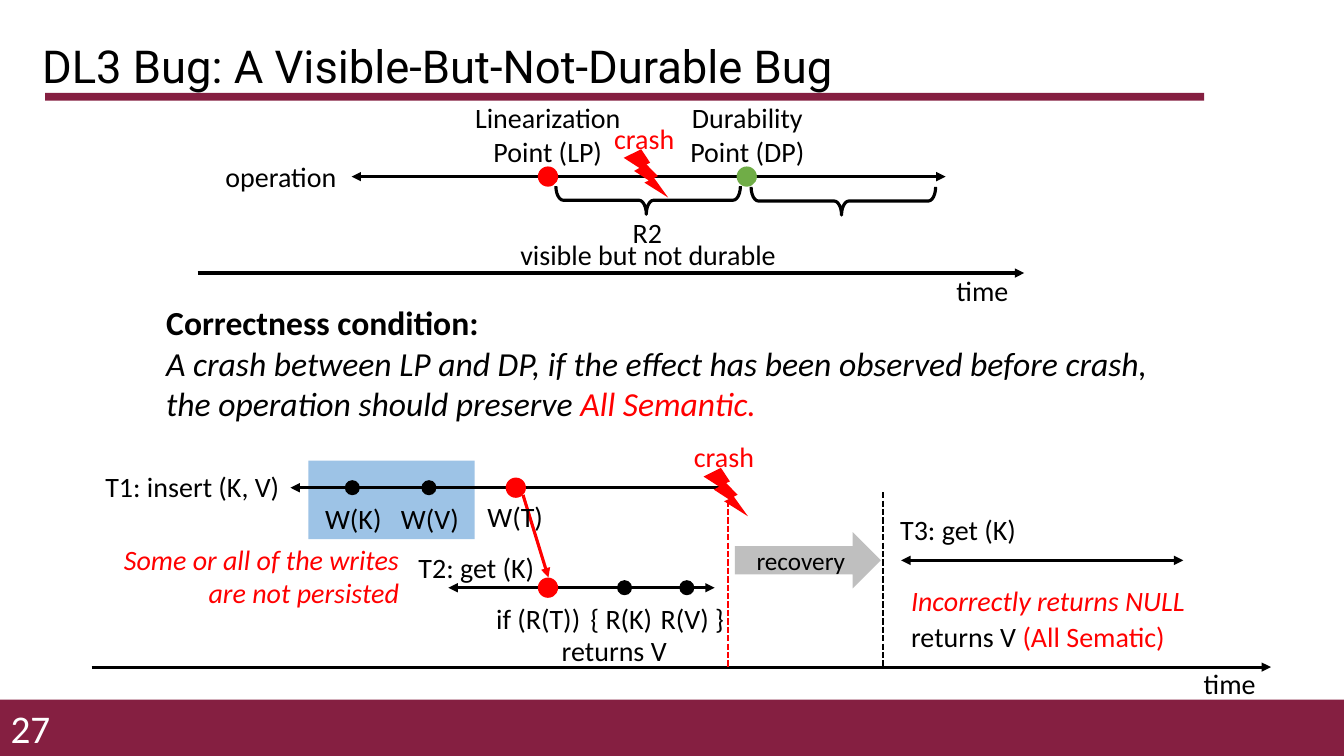
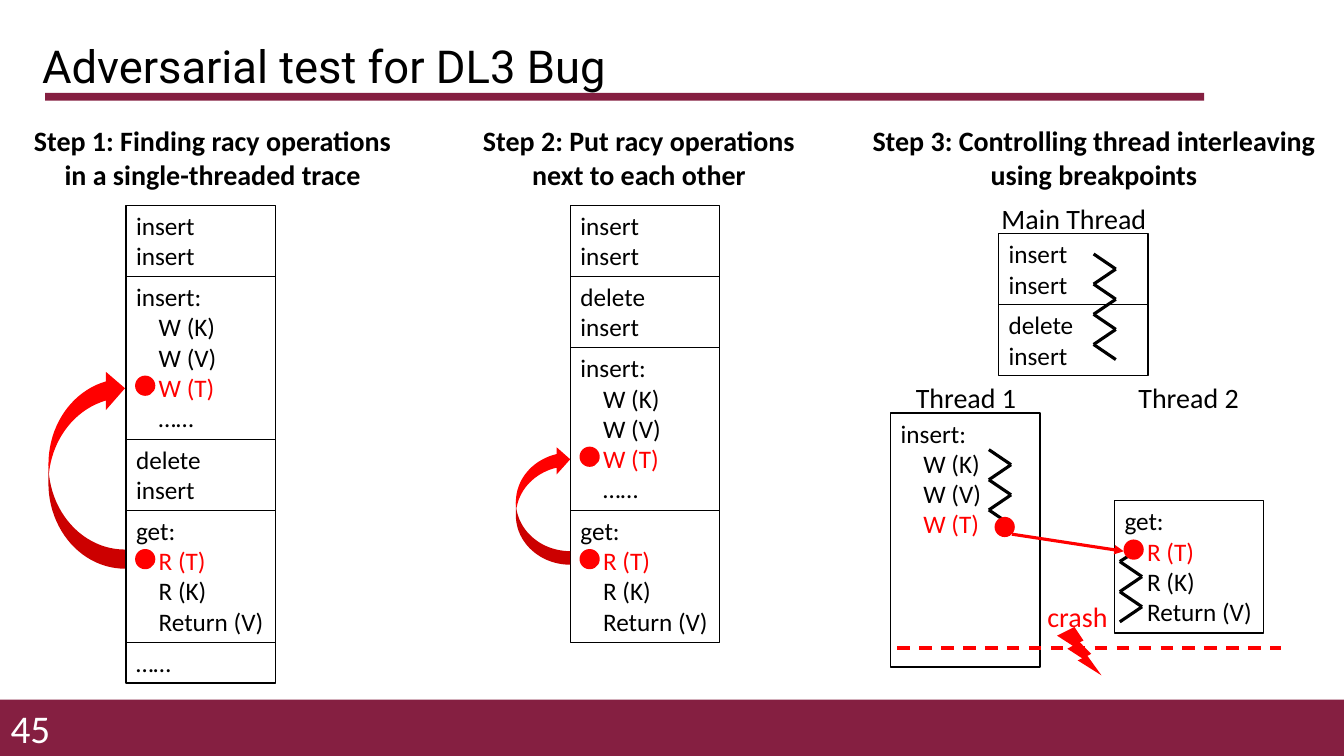
from lxml import etree
from pptx import Presentation
from pptx.dml.color import RGBColor
from pptx.enum.dml import MSO_LINE
from pptx.enum.shapes import MSO_CONNECTOR, MSO_SHAPE
from pptx.enum.text import MSO_ANCHOR, PP_ALIGN
from pptx.oxml.ns import qn
from pptx.util import Cm, Pt

LEFT, CENTER, RIGHT = PP_ALIGN.LEFT, PP_ALIGN.CENTER, PP_ALIGN.RIGHT
TOP, MIDDLE = MSO_ANCHOR.TOP, MSO_ANCHOR.MIDDLE
RECTANGLE, OVAL, BOLT = MSO_SHAPE.RECTANGLE, MSO_SHAPE.OVAL, MSO_SHAPE.LIGHTNING_BOLT
BRACE, BLOCK_ARROW = MSO_SHAPE.LEFT_BRACE, MSO_SHAPE.RIGHT_ARROW
CURVED_ARROW = MSO_SHAPE.CURVED_LEFT_ARROW
SHORT_DASH, DASH = MSO_LINE.SQUARE_DOT, MSO_LINE.DASH


class Theme:
    black = RGBColor(0x00, 0x00, 0x00)
    white = RGBColor(0xFF, 0xFF, 0xFF)
    red = RGBColor(0xFF, 0x00, 0x00)
    green = RGBColor(0x70, 0xAD, 0x47)
    blue = RGBColor(0x9D, 0xC3, 0xE6)
    gray = RGBColor(0xBF, 0xBF, 0xBF)
    maroon = RGBColor(0x85, 0x1F, 0x41)
    thin, dashed, thick = 1, 1.5, 2.25
    indent = 0.57
    indented = ("step", "step alert")
    styles = {
        "title": {"name": "Roboto", "size": Pt(32.4), "color": black},
        "page": {"size": Pt(28), "color": white},
        "lead": {"size": Pt(24), "color": black, "bold": True},
        "rule": {"size": Pt(24), "color": black, "italic": True},
        "rule alert": {"size": Pt(24), "color": red, "italic": True},
        "heading": {"size": Pt(20), "color": black, "bold": True},
        "label": {"size": Pt(20), "color": black},
        "alert": {"size": Pt(20), "color": red},
        "note": {"size": Pt(20), "color": red, "italic": True},
        "code": {"size": Pt(18), "color": black},
        "step": {"size": Pt(18), "color": black},
        "step alert": {"size": Pt(18), "color": red},
    }


def add_box(slide, kind, box, paragraphs=(), fill=None, line=None,
            width=Theme.thin, align=LEFT, anchor=TOP, wrap=True):
    frame = [Cm(length) for length in box]
    if kind is None:
        shape = slide.shapes.add_textbox(*frame)
    else:
        shape = slide.shapes.add_shape(kind, *frame)
        shape.shadow.inherit = False
        for part, color in ((shape.fill, fill), (shape.line.fill, line)):
            if color is None:
                part.background()
            else:
                part.solid()
                part.fore_color.rgb = color
        if line is not None:
            shape.line.width = Pt(width)
    text_frame = shape.text_frame
    text_frame.word_wrap = wrap
    text_frame.vertical_anchor = anchor
    for index, runs in enumerate(paragraphs):
        paragraph = text_frame.add_paragraph() if index else text_frame.paragraphs[0]
        paragraph.alignment = align
        if runs[0][0] in Theme.indented:
            paragraph._p.get_or_add_pPr().set("marL", str(Cm(Theme.indent)))
        for style, text in runs:
            run = paragraph.add_run()
            run.text = text
            for name, value in {"name": "Calibri", **Theme.styles[style]}.items():
                if name == "color":
                    run.font.color.rgb = value
                else:
                    setattr(run.font, name, value)
    return shape


def add_line(slide, start, end, color=Theme.black, width=Theme.thick, dash=None, arrows=()):
    points = [Cm(length) for length in (*start, *end)]
    connector = slide.shapes.add_connector(MSO_CONNECTOR.STRAIGHT, *points)
    connector.line.color.rgb = color
    connector.line.width = Pt(width)
    if dash is not None:
        connector.line.dash_style = dash
    properties = connector._element.spPr
    for arrow in arrows:
        etree.SubElement(properties.find(qn("a:ln")), qn("a:" + arrow), type="triangle")
    etree.SubElement(properties, qn("a:effectLst"))


presentation = Presentation()
presentation.slide_width, presentation.slide_height = Cm(33.87), Cm(19.05)
slides = []
for title, page in (("DL3 Bug: A Visible-But-Not-Durable Bug", "27"),
                    ("Adversarial test for DL3 Bug", "45")):
    slide = presentation.slides.add_slide(presentation.slide_layouts[6])
    for band in ((0, 17.63, 33.87, 1.42), (1.14, 2.34, 29.21, 0.2)):
        add_box(slide, RECTANGLE, band, fill=Theme.maroon)
    title_box = add_box(slide, None, (0.81, 1.02, 31.8, 1.42), [[("title", title)]], anchor=MIDDLE)
    title_box.text_frame.paragraphs[0].line_spacing = 0.9
    add_box(slide, None, (0, 17.83, 1.52, 1.02), [[("page", page)]],
            align=RIGHT, anchor=MIDDLE, wrap=False)
    slides.append(slide)
bug_slide, test_slide = slides

BOTH, FORWARD, BACKWARD = ("headEnd", "tailEnd"), ("tailEnd",), ("headEnd",)
BIG_DOT, SMALL_DOT = 0.51, 0.38
LINE_HEIGHT, PAIR_HEIGHT = 1.12, 1.96

add_box(bug_slide, None, (3.94, 7.49, 25.86, 3.33), [
    [("lead", "Correctness condition:")],
    [("rule", "A crash between LP and DP, if the effect has been observed before crash,")],
    [("rule", "the operation should preserve "), ("rule alert", "All Semantic.")],
])
add_box(bug_slide, RECTANGLE, (7.77, 11.61, 4.19, 1.98), fill=Theme.blue)
add_box(bug_slide, BLOCK_ARROW, (18.52, 13.41, 3.68, 1.42), [[("code", "recovery")]],
        fill=Theme.gray, align=CENTER, anchor=MIDDLE)
for left, top in ((15.98, 2.72), (20.9, 2.74)):
    brace = add_box(bug_slide, BRACE, (left, top, 0.71, 4.65), line=Theme.black, width=Theme.thick)
    brace.rotation = 270
    brace.adjustments[0], brace.adjustments[1] = 0.26, 0.49

OPERATION_Y, INSERT_Y, GET_Y = 4.45, 12.29, 14.81
for left, right, y, arrows in (
    (4.98, 25.81, 6.88, FORWARD),
    (8.86, 23.83, OPERATION_Y, BOTH),
    (2.31, 32.03, 16.81, FORWARD),
    (7.32, 18.26, INSERT_Y, BACKWARD),
    (22.71, 29.82, 14.12, BOTH),
    (11.3, 18.01, GET_Y, BOTH),
):
    add_line(bug_slide, (left, y), (right, y), arrows=arrows)
for x, color in ((18.34, Theme.red), (22.25, Theme.black)):
    add_line(bug_slide, (x, 12.4), (x, 16.8), color, Theme.dashed, SHORT_DASH)
add_line(bug_slide, (13.18, 12.47), (13.82, 14.55), Theme.red, arrows=FORWARD)

dots = [
    (bug_slide, 13.81, OPERATION_Y, BIG_DOT, Theme.red),
    (bug_slide, 18.82, OPERATION_Y, BIG_DOT, Theme.green),
    (bug_slide, 13, INSERT_Y, BIG_DOT, Theme.red),
    (bug_slide, 13.81, GET_Y, BIG_DOT, Theme.red),
    (bug_slide, 8.88, INSERT_Y, SMALL_DOT, Theme.black),
    (bug_slide, 10.81, INSERT_Y, SMALL_DOT, Theme.black),
    (bug_slide, 15.74, GET_Y, SMALL_DOT, Theme.black),
    (bug_slide, 17.31, GET_Y, SMALL_DOT, Theme.black),
    (test_slide, 25.32, 13.28, BIG_DOT, Theme.red),
]

for text, left, top, width in (
    ("time", 23.72, 6.76, 2.08),
    ("operation", 5.38, 3.89, 3.4),
    ("visible but not durable", 11.99, 5.87, 8.69),
    ("R2", 14.5, 5.31, 3.63),
    ("time", 29.95, 16.66, 2.08),
    ("T1: insert (K, V)", 2.31, 11.71, 5.08),
    ("T2: get (K)", 9.91, 13.74, 4.19),
    ("T3: get (K)", 22.05, 12.8, 4.19),
    ("W(K)", 7.9, 12.5, 2.01),
    ("W(V)", 9.83, 12.5, 2.01),
    ("W(T)", 11.73, 12.47, 2.51),
    ("if (R(T))", 11.66, 15.04, 3.81),
    ("{ R(K)", 14.58, 15.04, 2.16),
    ("R(V) }", 16.33, 15.04, 2.24),
    ("returns V", 12.19, 15.85, 6.58),
):
    add_box(bug_slide, None, (left, top, width, LINE_HEIGHT), [[("label", text)]], align=CENTER)
for text, left, width in (("Linearization Point (LP)", 11.66, 4.29),
                          ("Durability Point (DP)", 17.02, 3.63)):
    add_box(bug_slide, None, (left, 2.41, width, PAIR_HEIGHT), [[("label", text)]], align=CENTER)
add_box(bug_slide, None, (2.51, 13.54, 7.8, PAIR_HEIGHT),
        [[("note", "Some or all of the writes are not persisted")]], align=RIGHT)
for top, runs in ((14.58, [("note", "Incorrectly returns NULL")]),
                  (15.49, [("label", "returns V "), ("alert", "(All Sematic)")])):
    add_box(bug_slide, None, (22.71, top, 8.79, LINE_HEIGHT), [runs])

for left, width, lines in (
    (0.56, 9.6, ("Step 1: Finding racy operations", "in a single-threaded trace")),
    (11.89, 8.43, ("Step 2: Put racy operations", "next to each other")),
    (21.69, 11.76, ("Step 3: Controlling thread interleaving", "using breakpoints")),
):
    add_box(test_slide, None, (left, 3, width, PAIR_HEIGHT),
            [[("heading", line)] for line in lines], align=CENTER, wrap=False)
for text, left, top, width in (("Main Thread", 24.92, 4.95, 4.29),
                               ("Thread 1", 22.81, 9.47, 3.07),
                               ("Thread 2", 28.42, 9.47, 3.07)):
    add_box(test_slide, None, (left, top, width, LINE_HEIGHT), [[("label", text)]],
            align=CENTER, wrap=False)

inserts = [("code", "insert"), ("code", "insert")]
delete_insert = [("code", "delete"), ("code", "insert")]
writes = [("code", "insert:"), ("step", "W (K)"), ("step", "W (V)"), ("step alert", "W (T)")]
insert_steps = writes + [("step", "……")]
get_steps = [("code", "get:"), ("step alert", "R (T)"), ("step", "R (K)"), ("step", "Return (V)")]
remainder = [("code", "……")]

BLOCK_WIDTH = 3.76
for left, top, blocks in (
    (3.18, 5.18, (inserts, insert_steps, delete_insert, get_steps, remainder)),
    (14.38, 5.18, (inserts, delete_insert, insert_steps, get_steps)),
    (25.17, 5.89, (inserts, delete_insert)),
    (28.09, 12.62, (get_steps,)),
):
    for block in blocks:
        height = 0.25 + 0.77 * len(block)
        add_box(test_slide, RECTANGLE, (left, top, BLOCK_WIDTH, height),
                [[run] for run in block], line=Theme.black)
        for index, (style, text) in enumerate(block):
            if style == "step alert":
                dots.append((test_slide, left + 0.48, top + 0.47 + 0.76 * index, BIG_DOT, Theme.red))
        top += height
add_box(test_slide, RECTANGLE, (22.45, 10.41, BLOCK_WIDTH, 6.4),
        [[run] for run in writes], line=Theme.black)

for box in ((1.22, 9.3, 1.93, 5.03), (13, 11.23, 1.37, 3)):
    add_box(test_slide, CURVED_ARROW, box, fill=Theme.red).rotation = 180

ZIGZAG_WIDTH, ZIGZAG_STEP = 0.56, 0.38
for left, top, count in ((27.56, 6.4, 7), (24.92, 11.33, 5), (28.22, 14.15, 4)):
    corners = [(left + ZIGZAG_WIDTH * (index % 2), top + ZIGZAG_STEP * index)
               for index in range(count + 1)]
    for start, end in zip(corners, corners[1:]):
        add_line(test_slide, start, end)
add_line(test_slide, (28.5, 13.97), (28.22, 14.15))

for slide, x, y, size, color in dots:
    add_box(slide, OVAL, (x - size / 2, y - size / 2, size, size), fill=color)
add_line(test_slide, (25.5, 13.46), (28.32, 13.89), Theme.red, arrows=FORWARD)
add_line(test_slide, (22.61, 16.33), (32.28, 16.33), Theme.red, dash=DASH)

for slide, left, top in ((bug_slide, 15.72, 3.76), (bug_slide, 17.73, 11.79),
                         (test_slide, 26.64, 15.8)):
    add_box(slide, BOLT, (left, top, 1.12, 1.22), fill=Theme.red)
    add_box(slide, None, (left - 0.54, top - 0.83, 2.11, LINE_HEIGHT), [[("alert", "crash")]],
            align=CENTER)

presentation.save("out.pptx")
